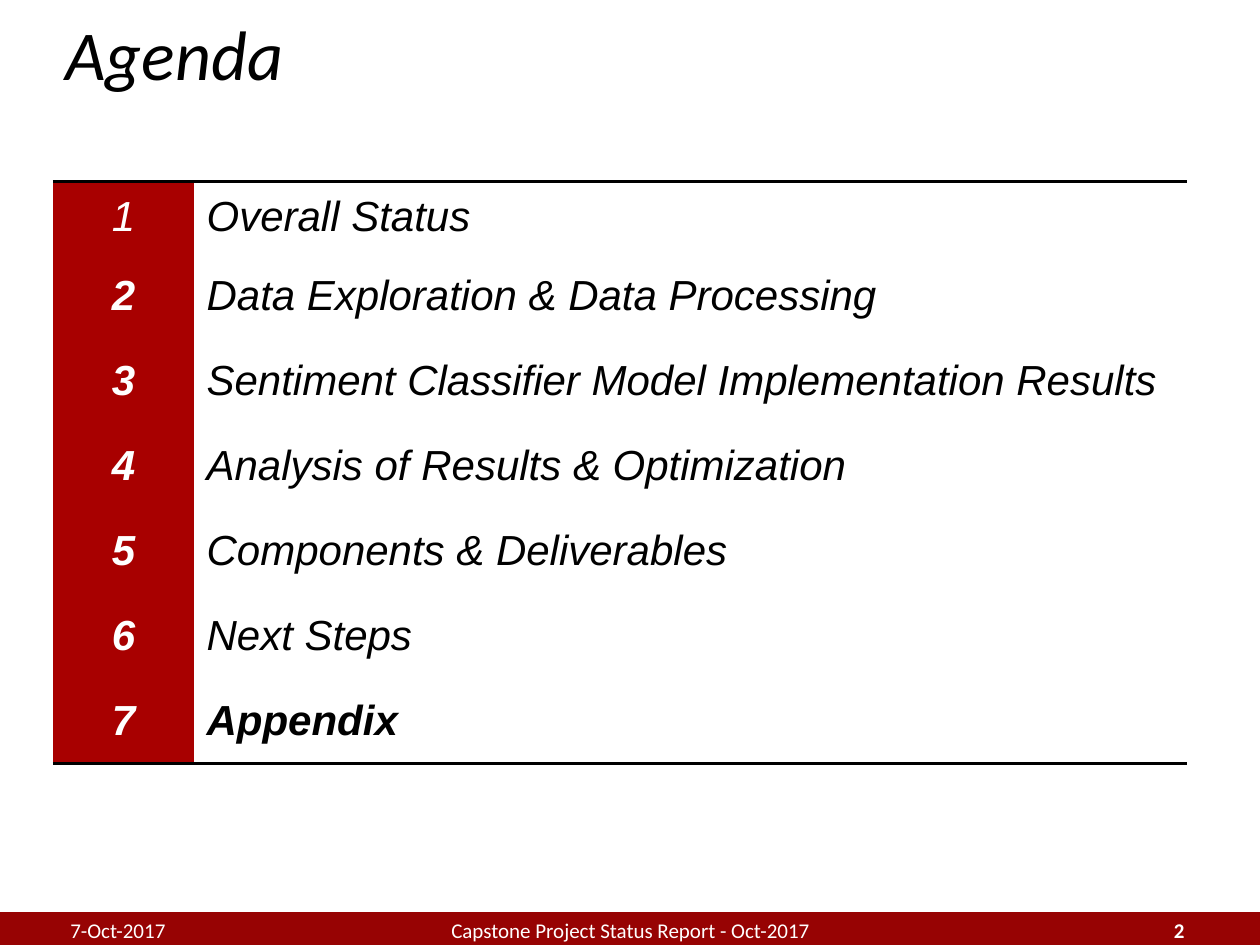
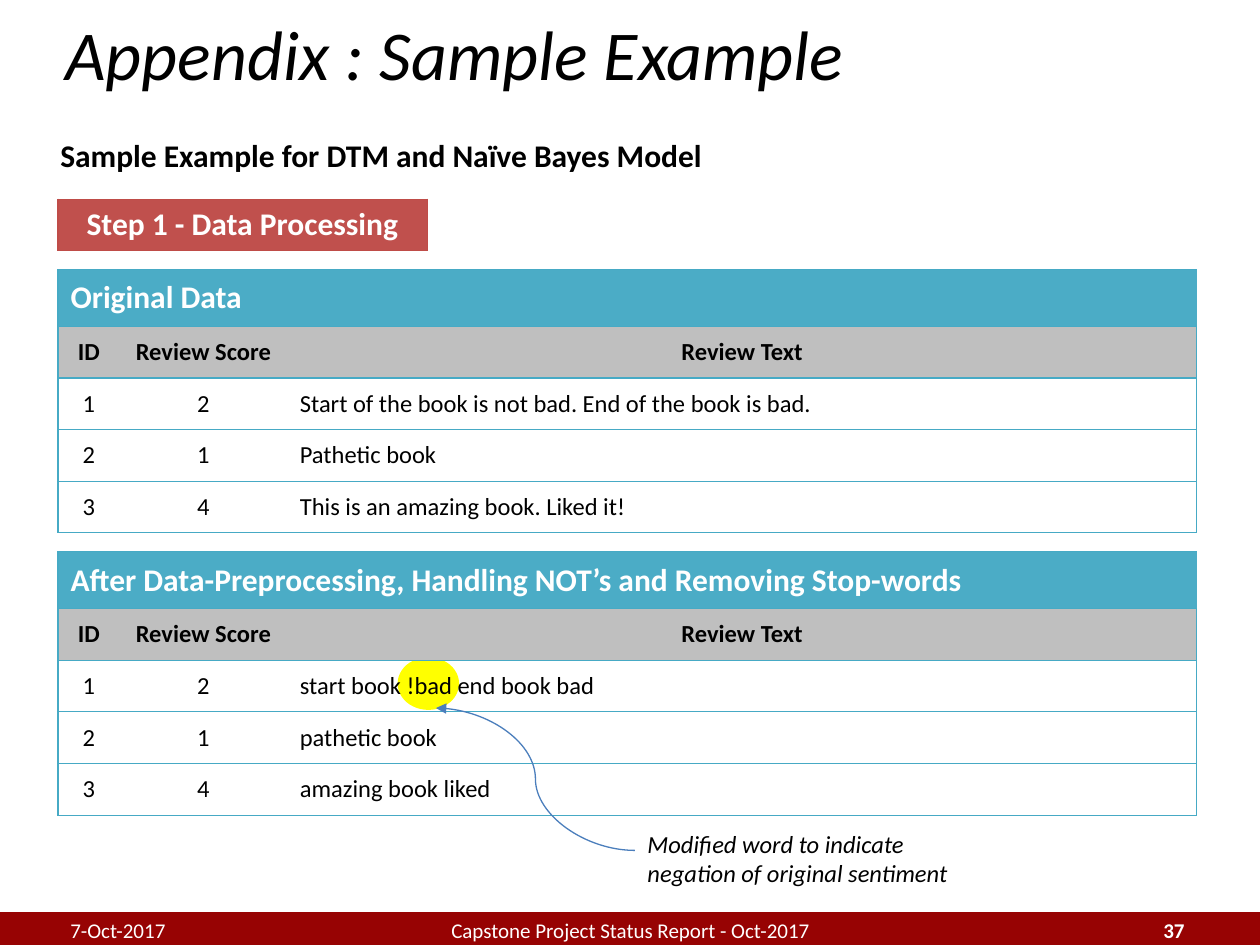
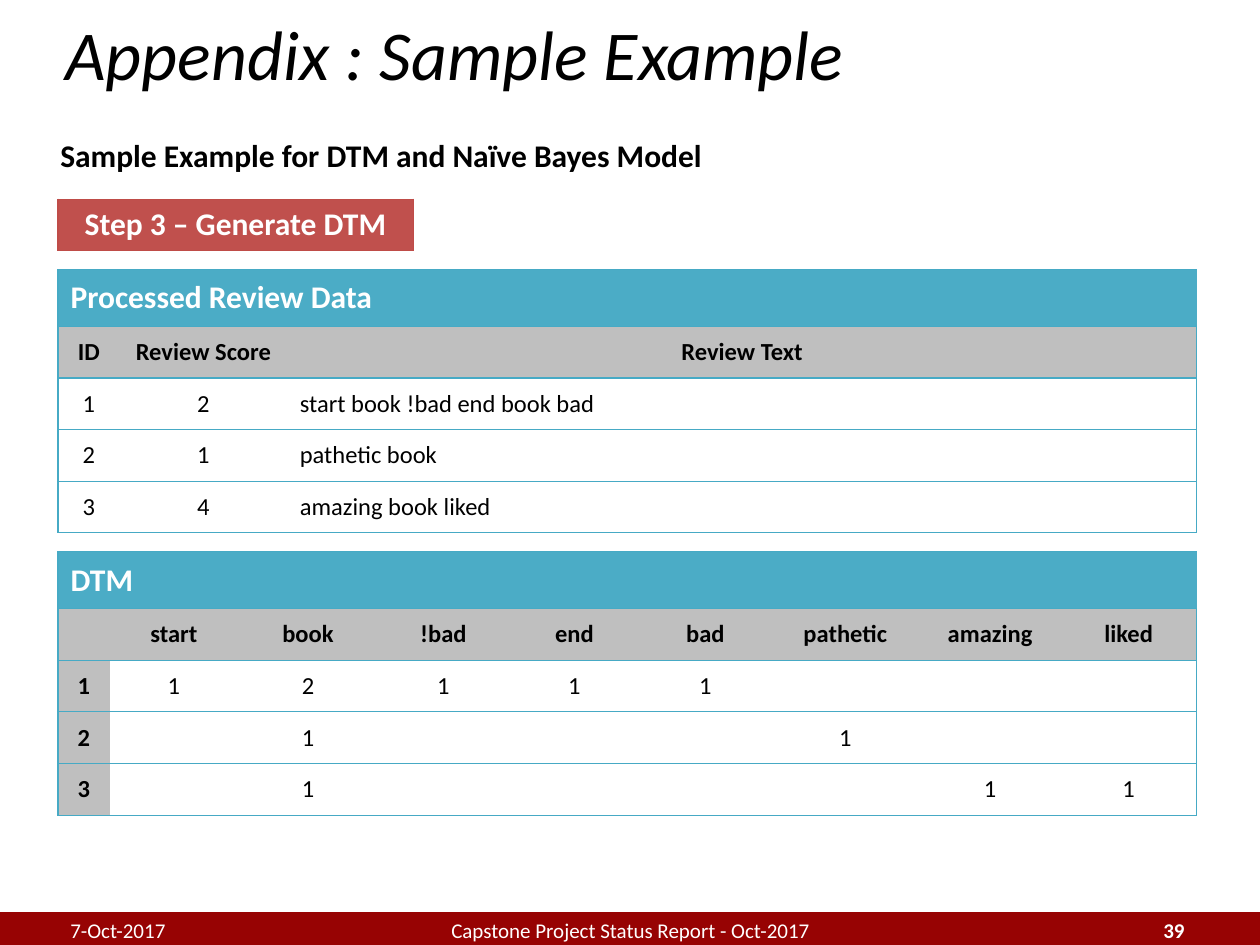
"""Builds three slides of a capstone status report: agenda, data processing and DTM."""
from lxml.etree import SubElement
from pptx import Presentation
from pptx.dml.color import RGBColor as Rgb
from pptx.enum.shapes import MSO_CONNECTOR as Connector, MSO_SHAPE as Shape
from pptx.enum.text import MSO_ANCHOR as Anchor, MSO_AUTO_SIZE as AutoSize, PP_ALIGN as Align
from pptx.oxml.ns import qn
from pptx.util import Inches, Pt

COLORS = {
    "black": "000000", "white": "FFFFFF", "band": "970303", "agenda": "A80000",
    "step": "C0504D", "step edge": "BF4C48", "heading": "4BACC6", "rule": "46AAC5",
    "label": "BFBFBF", "highlight": "FFFF00", "arrow": "4B7EBC",
}
PLAIN_TABLE = "{2D5ABB26-0587-4C30-8999-92F81FD0307C}"
AGENDA_TEXT = dict(font="Arial", size=24, italic=True)
CELL_STYLES = {
    "number": ("agenda", dict(AGENDA_TEXT, bold=True, color="white", align=Align.CENTER)),
    "light number": ("agenda", dict(AGENDA_TEXT, color="white", align=Align.CENTER)),
    "topic": ("white", AGENDA_TEXT),
    "current topic": ("white", dict(AGENDA_TEXT, bold=True)),
    "step": ("step", dict(size=18, bold=True, color="white", align=Align.CENTER)),
    "heading": ("heading", dict(size=18, bold=True, color="white")),
    "label": ("label", dict(size=14, bold=True, align=Align.CENTER)),
    "value": (None, dict(size=14, align=Align.CENTER)),
    "review": (None, dict(size=14)),
}
LEFT, TABLE_WIDTH, GAP = 0.46, 9.04, 0.15
HEADING_ROW, ROW = 0.45, 0.41
STEP_TOP = 1.58
REPORT_ROWS = [HEADING_ROW] + [ROW] * 4
FIRST_TOP = STEP_TOP + ROW + GAP
SECOND_TOP = FIRST_TOP + sum(REPORT_ROWS) + GAP
REVIEW_COLUMNS = [0.49, 1.33, 7.22]
TERM_COLUMNS = [0.41, 1.02, 1.11, 1.04, 1.04, 1.04, 1.18, 1.12, 1.08]


def write(frame, text, font="Calibri", size=12, color="black", bold=False, italic=False,
          align=Align.LEFT, anchor=Anchor.MIDDLE):
    frame.word_wrap = True
    frame.vertical_anchor = anchor
    line = frame.paragraphs[0]
    line.alignment = align
    run = line.add_run()
    run.text = text
    run.font.name, run.font.size = font, Pt(size)
    run.font.bold, run.font.italic = bold, italic
    run.font.color.rgb = Rgb.from_string(COLORS[color])


def draw_table(slide, left, top, widths, heights, rows, edge, edge_width=0.75, ruled=True):
    frame = slide.shapes.add_table(len(heights), len(widths), Inches(left), Inches(top),
                                   Inches(sum(widths)), Inches(sum(heights)))
    table = frame.table
    table.first_row = table.horz_banding = False
    frame.element.find(".//" + qn("a:tableStyleId")).text = PLAIN_TABLE
    for column, width in zip(table.columns, widths):
        column.width = Inches(width)
    last_row, last_column = len(heights) - 1, len(widths) - 1
    for r, (height, entries) in enumerate(zip(heights, rows)):
        table.rows[r].height = Inches(height)
        if len(entries) < len(widths):
            table.cell(r, 0).merge(table.cell(r, last_column))
        for c in range(len(widths)):
            cell = table.cell(r, c)
            sides = {"L": ruled and c == 0, "R": ruled and c == last_column,
                     "T": ruled or r == 0, "B": ruled or r == last_row}
            properties = cell._tc.get_or_add_tcPr()
            for side in [name for name, drawn in sides.items() if drawn]:
                border = SubElement(properties, qn("a:ln" + side), w=str(Pt(edge_width)))
                paint = SubElement(border, qn("a:solidFill"))
                SubElement(paint, qn("a:srgbClr"), val=COLORS[edge])
            text, style = entries[c] if c < len(entries) else ("", entries[0][1])
            fill, text_format = CELL_STYLES[style]
            if fill:
                cell.fill.solid()
                cell.fill.fore_color.rgb = Rgb.from_string(COLORS[fill])
            else:
                cell.fill.background()
            cell.vertical_anchor = Anchor.MIDDLE
            if text:
                write(cell.text_frame, text, **text_format)


deck = Presentation()
deck.slide_width, deck.slide_height = Inches(10), Inches(7.5)

pages = []
for heading, number in [("Agenda", 2), ("Appendix : Sample Example", 37),
                        ("Appendix : Sample Example", 39)]:
    page = deck.slides.add_slide(deck.slide_layouts[5])
    pages.append(page)
    title = page.shapes.title
    title.left, title.top, title.width, title.height = map(Inches, (0.42, 0, 9.25, 0.83))
    write(title.text_frame, heading, size=40, italic=True)
    title.text_frame.auto_size = AutoSize.NONE
    for left, width, text, align, bold in [
        (3.17, 3.67, "Capstone Project Status Report - Oct-2017", Align.CENTER, False),
        (7.17, 2.33, str(number), Align.RIGHT, True),
        (LEFT, 2.33, "7-Oct-2017", Align.LEFT, False),
    ]:
        footer = page.shapes.add_textbox(Inches(left), Inches(7.18), Inches(width), Inches(0.4))
        write(footer.text_frame, text, color="white", bold=bold, align=align)

agenda, processing, matrix = pages

band = agenda.shapes.add_shape(Shape.RECTANGLE, 0, Inches(7.25), deck.slide_width, Inches(0.25))
highlight = processing.shapes.add_shape(Shape.OVAL, Inches(3.17), Inches(5.23),
                                        Inches(0.46), Inches(0.39))
for area, color in [(band, "band"), (highlight, "highlight")]:
    area.shadow.inherit = False
    area.fill.solid()
    area.fill.fore_color.rgb = area.line.color.rgb = Rgb.from_string(COLORS[color])
    area.line.width = Pt(2)
deck.slide_master.shapes.element.insert(2, band.element)

topics = ["Overall Status", "Data Exploration & Data Processing",
          "Sentiment Classifier Model Implementation Results",
          "Analysis of Results & Optimization", "Components & Deliverables",
          "Next Steps", "Appendix"]
agenda_rows = [[(str(n), "light number" if n == 1 else "number"),
                (topic, "current topic" if topic == "Appendix" else "topic")]
               for n, topic in enumerate(topics, 1)]
draw_table(agenda, 0.42, 1.44, [1.12, 7.88], [0.57] + [0.675] * 6, agenda_rows,
           "black", edge_width=2, ruled=False)

for page, step, step_width in [(processing, "Step 1 - Data Processing", 2.93),
                               (matrix, "Step 3 – Generate DTM", 2.82)]:
    subject = page.shapes.add_textbox(Inches(0.38), Inches(1.03), Inches(9.25), Inches(0.47))
    write(subject.text_frame, "Sample Example for DTM and Naïve Bayes Model",
          size=18, bold=True, anchor=Anchor.TOP)
    draw_table(page, LEFT, STEP_TOP, [step_width], [ROW], [[(step, "step")]], "step edge")

scores = ["2", "1", "4"]
raw_reviews = ["Start of the book is not bad. End of the book is bad.",
               "Pathetic book", "This is an amazing book. Liked it!"]
clean_reviews = ["start book !bad end book bad", "pathetic book", "amazing book liked"]
for page, top, heading, reviews in [
    (processing, FIRST_TOP, "Original Data", raw_reviews),
    (processing, SECOND_TOP, "After Data-Preprocessing, Handling NOT’s and Removing Stop-words",
     clean_reviews),
    (matrix, FIRST_TOP, "Processed Review Data", clean_reviews),
]:
    review_rows = [[(heading, "heading")],
                   [(label, "label") for label in ("ID", "Review Score", "Review Text")]]
    for n, (score, review) in enumerate(zip(scores, reviews), 1):
        review_rows.append([(str(n), "value"), (score, "value"), (review, "review")])
    draw_table(page, LEFT, top, REVIEW_COLUMNS, REPORT_ROWS, review_rows, "rule")

terms = ["start", "book", "!bad", "end", "bad", "pathetic", "amazing", "liked"]
term_rows = [[("DTM", "heading")], [(term, "label") for term in [""] + terms]]
for n, review in enumerate(clean_reviews, 1):
    counts = [review.split().count(term) for term in terms]
    term_rows.append([(str(n), "label")] +
                     [(str(count) if count else "", "value") for count in counts])
draw_table(matrix, LEFT, SECOND_TOP, TERM_COLUMNS, REPORT_ROWS, term_rows, "rule")

pointer = processing.shapes.add_connector(Connector.CURVE, Inches(5.04), Inches(6.75),
                                          Inches(3.46), Inches(5.62))
pointer.line.color.rgb = Rgb.from_string(COLORS["arrow"])
pointer.line.width = Pt(0.75)
SubElement(pointer.line._get_or_add_ln(), qn("a:tailEnd"), type="triangle")
SubElement(pointer.element.spPr, qn("a:effectLst"))
note = processing.shapes.add_textbox(Inches(5.04), Inches(6.53), Inches(2.68), Inches(0.57))
write(note.text_frame, "Modified word to indicate negation of original sentiment",
      size=14, italic=True, anchor=Anchor.TOP)

deck.save("out.pptx")
